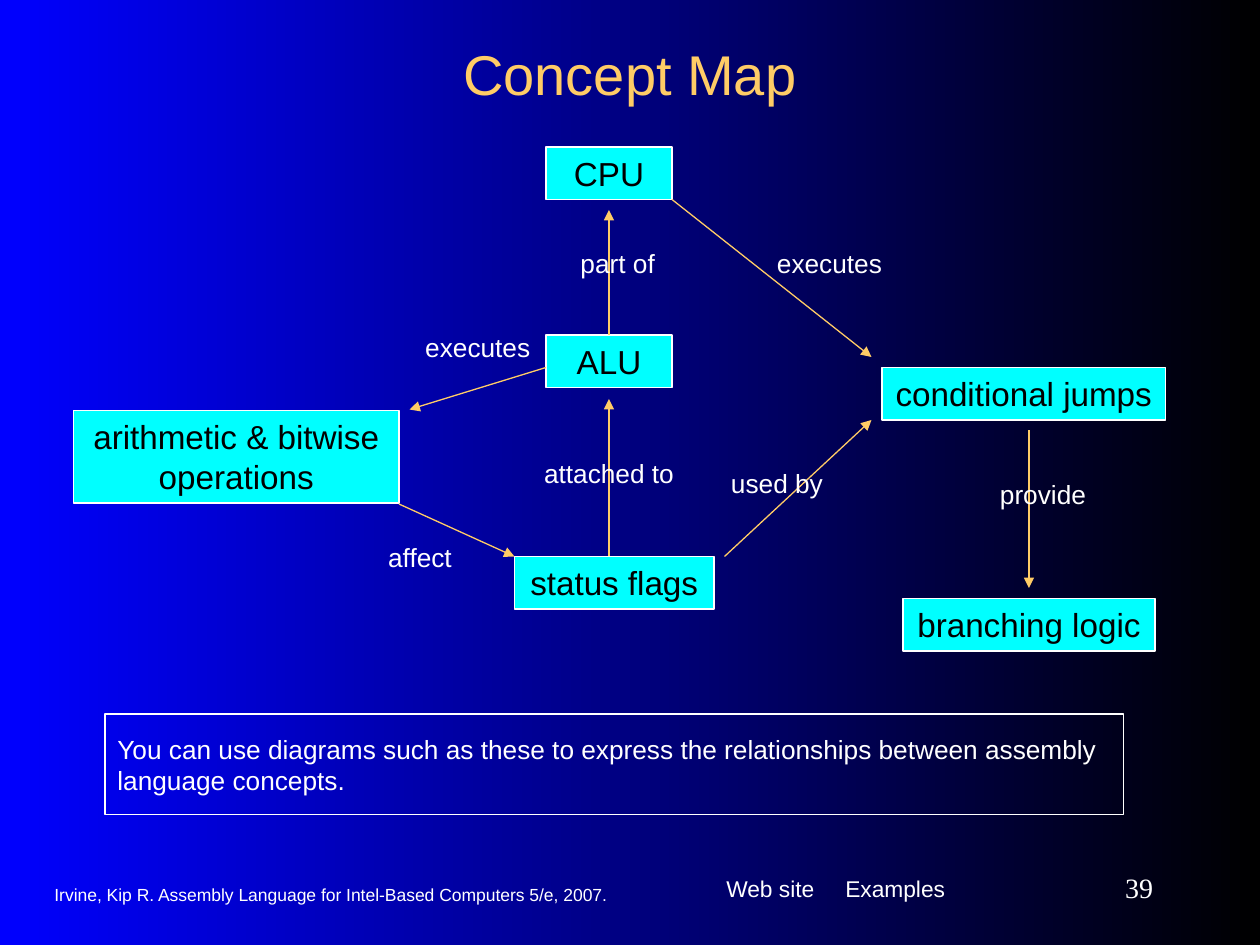
from pptx import Presentation
from pptx.dml.color import RGBColor
from pptx.enum.shapes import MSO_CONNECTOR as Line, MSO_SHAPE as Preset
from pptx.enum.text import MSO_ANCHOR as Anchor, PP_ALIGN as Align
from pptx.oxml.ns import qn
from pptx.util import Pt
from lxml.etree import SubElement

WHITE, BLACK, CYAN, GOLD, BLUE = "FFFFFF", "000000", "00FFFF", "FFCC66", "0000FF"

CONCEPTS = {
    "CPU": (312, 84, 72, 30),
    "ALU": (312, 191.5, 72, 30),
    "conditional jumps": (504, 210, 162, 30),
    "arithmetic & bitwise operations": (42, 234.5, 186, 53),
    "status flags": (294, 318, 114, 30),
    "branching logic": (516, 342, 144, 30),
}
FREE_ARROWS = [
    ((384, 114), (498, 204)),
    ((312, 210), (234, 234)),
    ((228, 288), (294, 318)),
    ((348, 318), (348, 228)),
    ((414, 318), (498, 240)),
]
JOINED_ARROWS = [  # concept, its connection site, start, end
    ("ALU", 0, (348, 191.5), (348, 120)),
]
PROVIDE_ARROW = ((588, 246), (588, 336))
LABELS = [  # text, left, top, width
    ("part of", 314, 132, 78),
    ("executes", 402, 132, 144),
    ("executes", 228, 180, 90),
    ("attached to", 276, 252, 144),
    ("used by", 372, 258, 144),
    ("provide", 524, 264, 144),
    ("affect", 168, 300, 144),
]


def color(hex_code):
    return RGBColor.from_string(hex_code)


def set_all(target, values):
    for name, value in values.items():
        setattr(target, name, value)


def write(shape, text, size, hex_code, align=Align.LEFT, anchor=Anchor.TOP,
          margins=(7.2, 3.6), font="Arial", tab=None):
    """Fill a shape with one paragraph; margins are (sides, top and bottom)."""
    side, edge = map(Pt, margins)
    frame = shape.text_frame
    set_all(frame, {"word_wrap": True, "vertical_anchor": anchor,
                    "margin_left": side, "margin_right": side,
                    "margin_top": edge, "margin_bottom": edge})
    para = frame.paragraphs[0]
    para.alignment = align
    if tab:
        tabs = SubElement(para._p.get_or_add_pPr(), qn("a:tabLst"))
        SubElement(tabs, qn("a:tab"), pos=str(Pt(tab)), algn="l")
    span = para.add_run()
    span.text = text
    set_all(span.font, {"name": font, "size": Pt(size)})
    span.font.color.rgb = color(hex_code)


def add_text(page, bounds, *content, **layout):
    write(page.shapes.add_textbox(*map(Pt, bounds)), *content, **layout)


def add_box(page, bounds, fill=None):
    box = page.shapes.add_shape(Preset.RECTANGLE, *map(Pt, bounds))
    box.shadow.inherit = False
    if fill:
        box.fill.solid()
        box.fill.fore_color.rgb = color(fill)
    else:
        box.fill.background()
    box.line.color.rgb = color(WHITE)
    box.line.width = Pt(0.75)
    return box


def add_arrow(page, start, end):
    arrow = page.shapes.add_connector(Line.STRAIGHT, *map(Pt, start + end))
    arrow.line.color.rgb = color(GOLD)
    arrow.line.width = Pt(0.75)
    SubElement(arrow.get_or_add_ln(), qn("a:tailEnd"), type="triangle")
    SubElement(arrow._element.spPr, qn("a:effectLst"))
    return arrow


def paint_background(page):
    fill = page.background.fill
    fill.gradient()
    fill.gradient_angle = 0
    for stop, hex_code in zip(fill.gradient_stops, (BLUE, BLACK)):
        stop.color.rgb = color(hex_code)


def add_concept_map(page):
    boxes = {}
    for text, bounds in CONCEPTS.items():
        boxes[text] = add_box(page, bounds, CYAN)
        write(boxes[text], text, 19, BLACK, align=Align.CENTER, margins=(3.6, 3.6))
    for start, end in FREE_ARROWS + [PROVIDE_ARROW]:
        add_arrow(page, start, end)
    for concept, site, start, end in JOINED_ARROWS:
        add_arrow(page, start, end).begin_connect(boxes[concept], site)
    for text, left, top, width in LABELS:
        add_text(page, (left, top, width, 39.5), text, 15, WHITE,
                 align=Align.CENTER, margins=(7.2, 10.8))


def add_footer(page):
    add_text(page, (24, 499, 378, 24),
             "Irvine, Kip R. Assembly Language for Intel-Based Computers 5/e, 2007.",
             10, WHITE, anchor=Anchor.MIDDLE)
    add_text(page, (408, 492, 168, 37), "Web site\tExamples", 13, WHITE,
             margins=(7.2, 10.8), tab=68)
    add_text(page, (588, 492, 78, 30), "39", 16, WHITE, align=Align.RIGHT,
             anchor=Anchor.MIDDLE, font="Times New Roman")


def main():
    deck = Presentation()
    set_all(deck, {"slide_width": Pt(720), "slide_height": Pt(540)})
    page = deck.slides.add_slide(deck.slide_layouts[6])
    paint_background(page)
    add_text(page, (54, 18, 612, 48), "Concept Map", 32, GOLD,
             align=Align.CENTER, anchor=Anchor.MIDDLE)
    add_concept_map(page)
    write(add_box(page, (60, 408, 582, 57.5)),
          "You can use diagrams such as these to express the relationships "
          "between assembly language concepts.", 15, WHITE, margins=(7.2, 10.8))
    add_footer(page)
    deck.save("out.pptx")


if __name__ == "__main__":
    main()
